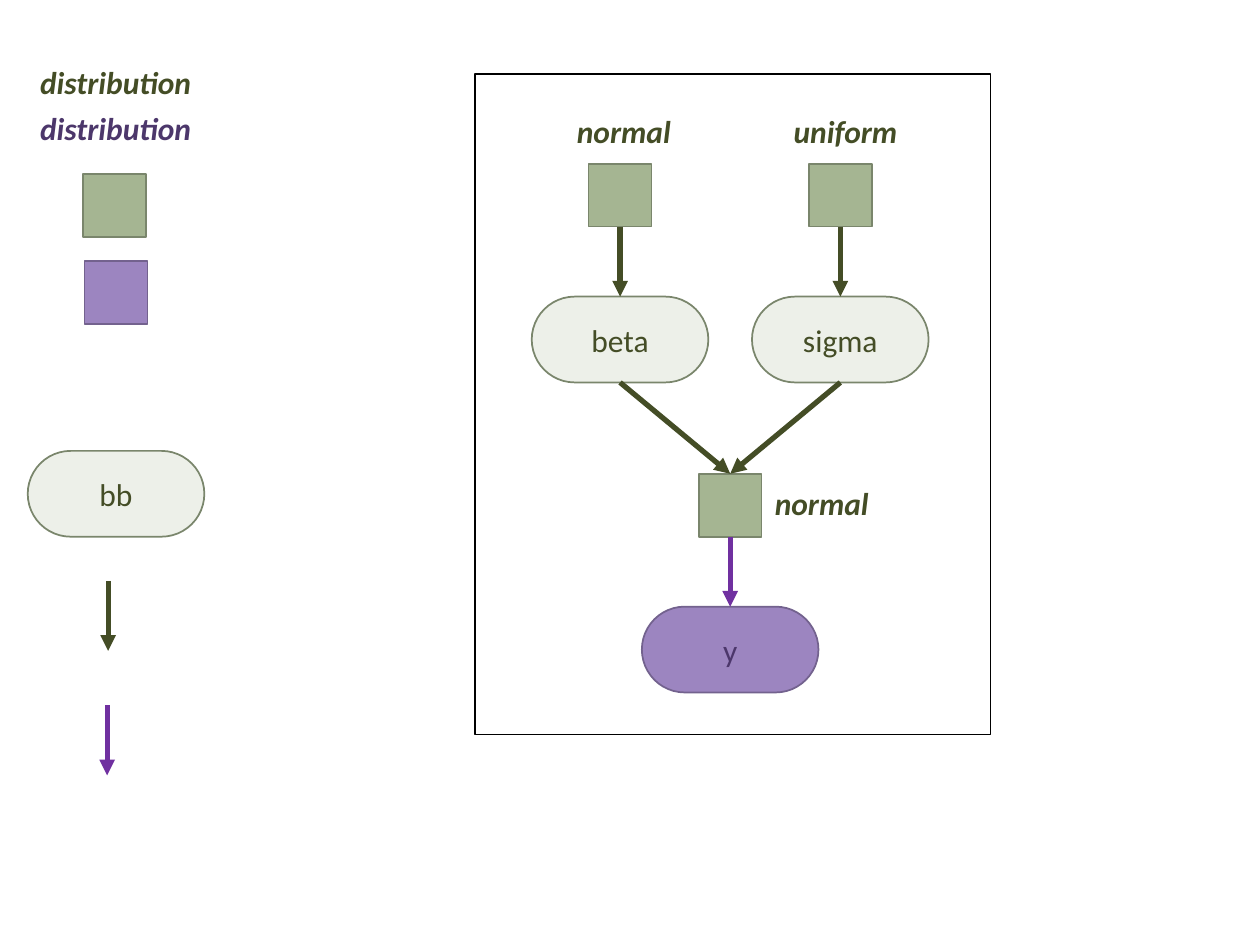
import pptx
import pptx.util
import pptx.dml.color
import pptx.oxml
import pptx.enum.shapes
import pptx.enum.text
import pptx.oxml.ns

Cm = pptx.util.Cm
Pt = pptx.util.Pt
SHAPES = pptx.enum.shapes.MSO_SHAPE
TOP, BOTTOM = 0, 2

GREEN_TEXT, PURPLE_TEXT, PURPLE_ARROW = "444D26", "4C376B", "7030A0"
STYLES = {
    "frame": {"fill": "FFFFFF", "line": "000000", "text": "000000"},
    "prior": {"fill": "A5B592", "line": "7A866C", "text": GREEN_TEXT},
    "parameter": {"fill": "EDF0E9", "line": "7A866C", "text": GREEN_TEXT},
    "observed": {"fill": "9C85C0", "line": "73628E", "text": PURPLE_TEXT},
}

SQUARE = (1.27, 1.27)
NODE = (3.56, 1.73)
ARROW_LENGTH = 1.41
LABEL_HEIGHT = 1.02
FRAME = (9.58, 1.5, 10.39, 13.31)

BETA_X, SIGMA_X = 12.5, 16.94
MIDDLE_X = (BETA_X + SIGMA_X) / 2
PRIOR_Y = 3.3
PARAMETER_Y = PRIOR_Y + SQUARE[1] + ARROW_LENGTH
LIKELIHOOD_Y = 9.55
OBSERVED_Y = LIKELIHOOD_Y + SQUARE[1] + ARROW_LENGTH

SQUARES = [
    ("legend prior", 2.31, 3.51, "prior"),
    ("legend observed", 2.34, 5.26, "observed"),
    ("beta prior", BETA_X, PRIOR_Y, "prior"),
    ("sigma prior", SIGMA_X, PRIOR_Y, "prior"),
    ("likelihood", MIDDLE_X, LIKELIHOOD_Y, "prior"),
]
NODES = [
    ("bb", 2.34, 9.09, "parameter"),
    ("beta", BETA_X, PARAMETER_Y, "parameter"),
    ("sigma", SIGMA_X, PARAMETER_Y, "parameter"),
    ("y", MIDDLE_X, OBSERVED_Y, "observed"),
]
EDGES = [
    ("beta prior", "beta", GREEN_TEXT),
    ("sigma prior", "sigma", GREEN_TEXT),
    ("beta", "likelihood", GREEN_TEXT),
    ("sigma", "likelihood", GREEN_TEXT),
    ("likelihood", "y", PURPLE_ARROW),
]
LEGEND_ARROWS = [(2.18, 11.71, GREEN_TEXT), (2.16, 14.22, PURPLE_ARROW)]
LABELS = [
    ("distribution", 0.56, 1.14, 4.78, GREEN_TEXT),
    ("distribution", 0.56, 2.08, 4.78, PURPLE_TEXT),
    ("normal", 11.38, 2.13, 2.72, GREEN_TEXT),
    ("uniform", 15.75, 2.13, 2.97, GREEN_TEXT),
    ("normal", 15.37, 9.63, 3.38, GREEN_TEXT),
]


def color(value):
    return pptx.dml.color.RGBColor.from_string(value)


def write(shape, text, text_color, **formats):
    paragraph = shape.text_frame.paragraphs[0]
    run = paragraph.add_run()
    run.text = text
    for name, value in {"name": "Calibri", "size": Pt(18), **formats}.items():
        setattr(run.font, name, value)
    run.font.color.rgb = color(text_color)
    return paragraph


def add_box(kind, left, top, width, height, style, text=""):
    shape = slide.shapes.add_shape(kind, Cm(left), Cm(top), Cm(width), Cm(height))
    shape.shadow.inherit = False
    shape.fill.solid()
    shape.fill.fore_color.rgb = color(STYLES[style]["fill"])
    shape.line.color.rgb = color(STYLES[style]["line"])
    shape.line.width = Pt(1)
    if text:
        shape.text_frame.vertical_anchor = pptx.enum.text.MSO_ANCHOR.MIDDLE
        paragraph = write(shape, text, STYLES[style]["text"])
        paragraph.alignment = pptx.enum.text.PP_ALIGN.CENTER
    return shape


def add_centered(kind, size, center, top, style, text=""):
    return add_box(kind, center - size[0] / 2, top, *size, style, text)


def add_arrow(x, top, line_color):
    arrow = slide.shapes.add_connector(
        pptx.enum.shapes.MSO_CONNECTOR.STRAIGHT,
        Cm(x), Cm(top), Cm(x), Cm(top + ARROW_LENGTH))
    arrow.line.color.rgb = color(line_color)
    arrow.line.width = Pt(3)
    namespace = pptx.oxml.ns.nsdecls("a")
    arrow.line._get_or_add_ln().append(
        pptx.oxml.parse_xml(f'<a:tailEnd {namespace} type="triangle"/>'))
    arrow._element.spPr.append(pptx.oxml.parse_xml(f"<a:effectLst {namespace}/>"))
    return arrow


presentation = pptx.Presentation()
presentation.slide_width, presentation.slide_height = Cm(25.4), Cm(19.05)
slide = presentation.slides.add_slide(presentation.slide_layouts[6])

add_box(SHAPES.RECTANGLE, *FRAME, "frame")

parts = {}
for name, center, top, style in SQUARES:
    parts[name] = add_centered(SHAPES.RECTANGLE, SQUARE, center, top, style)
for name, center, top, style in NODES:
    parts[name] = add_centered(SHAPES.ROUNDED_RECTANGLE, NODE, center, top, style, name)
    parts[name].adjustments[0] = 0.5

for x, top, line_color in LEGEND_ARROWS:
    add_arrow(x, top, line_color)
for source, target, line_color in EDGES:
    edge = add_arrow(0, 0, line_color)
    edge.begin_connect(parts[source], BOTTOM)
    edge.end_connect(parts[target], TOP)

for text, left, top, width, text_color in LABELS:
    label = slide.shapes.add_textbox(Cm(left), Cm(top), Cm(width), Cm(LABEL_HEIGHT))
    label.text_frame.word_wrap = True
    label.text_frame.auto_size = pptx.enum.text.MSO_AUTO_SIZE.SHAPE_TO_FIT_TEXT
    write(label, text, text_color, bold=True, italic=True)

presentation.save("out.pptx")
